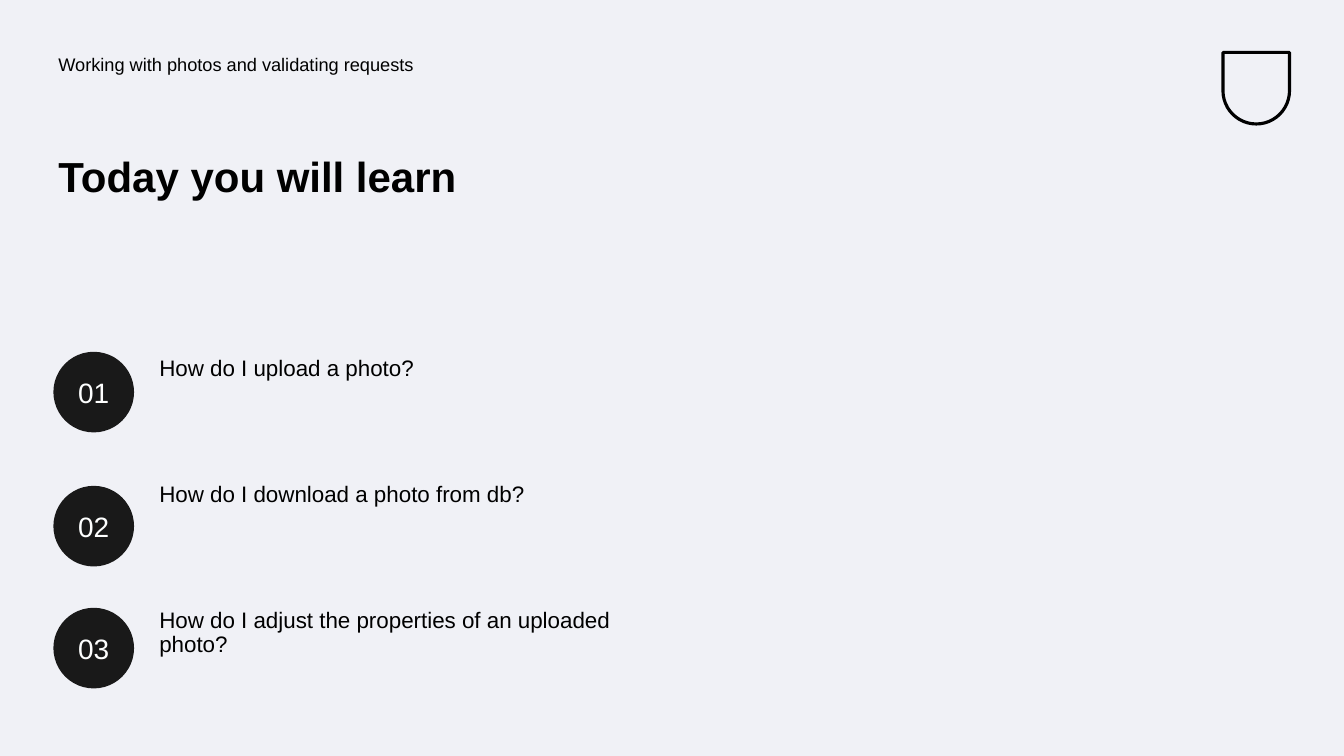
"""Build the "Today you will learn" agenda slide."""
from dataclasses import dataclass

from pptx import Presentation
from pptx.dml.color import RGBColor
from pptx.enum.shapes import MSO_SHAPE
from pptx.enum.text import MSO_ANCHOR, MSO_AUTO_SIZE, PP_ALIGN
from pptx.shapes.autoshape import Shape
from pptx.slide import Slide
from pptx.util import Inches, Pt

BACKGROUND = RGBColor(0xF0, 0xF1, 0xF6)
INK = RGBColor(0x00, 0x00, 0x00)
BADGE_FILL = RGBColor(0x19, 0x19, 0x19)
BADGE_TEXT = RGBColor(0xFE, 0xFF, 0xFF)

OVAL = MSO_SHAPE.OVAL
SHIELD = MSO_SHAPE.ROUND_2_SAME_RECTANGLE
TOP, MIDDLE = MSO_ANCHOR.TOP, MSO_ANCHOR.MIDDLE
LEFT, CENTER = PP_ALIGN.LEFT, PP_ALIGN.CENTER
NO_AUTOFIT = MSO_AUTO_SIZE.NONE

FONT = "Arial"
TITLE_ONLY = 5
MARGIN = 0.53
BADGE_SIZE = 0.8
QUESTION_TOP = 3.49
QUESTION_STEP = 1.25


@dataclass(frozen=True)
class Box:
    """A rectangle in inches."""

    left: float
    top: float
    width: float
    height: float

    def lengths(self) -> tuple[Inches, Inches, Inches, Inches]:
        """Return the four lengths in order."""
        return (Inches(self.left), Inches(self.top),
                Inches(self.width), Inches(self.height))


@dataclass(frozen=True)
class Style:
    """The look of a piece of text."""

    size: int
    color: RGBColor = INK
    bold: bool = False
    align: PP_ALIGN = LEFT
    anchor: MSO_ANCHOR = TOP
    line_spacing: float = 0.9


@dataclass(frozen=True)
class Question:
    """A numbered question and the top of its badge."""

    text: str
    badge_top: float


HEADER_STYLE = Style(13)
TITLE_STYLE = Style(30, bold=True)
QUESTION_STYLE = Style(16)
BADGE_STYLE = Style(20, BADGE_TEXT, align=CENTER, anchor=MIDDLE, line_spacing=1.0)

QUESTIONS = (
    Question("How do I upload a photo?", 3.49),
    Question("How do I download a photo from db?", 4.82),
    Question("How do I adjust the properties of an uploaded photo?", 6.03),
)


def write(shape: Shape, text: str, style: Style) -> None:
    """Put styled text in a shape."""
    frame = shape.text_frame
    frame.text = text
    frame.word_wrap = True
    frame.auto_size = NO_AUTOFIT
    frame.vertical_anchor = style.anchor
    frame.margin_left = frame.margin_right = Inches(0.05)
    frame.margin_top = frame.margin_bottom = Inches(0.05)
    para = frame.paragraphs[0]
    para.alignment = style.align
    para.line_spacing = style.line_spacing
    font = para.runs[0].font
    font.name = FONT
    font.size = Pt(style.size)
    font.bold = style.bold
    font.color.rgb = style.color


def add_text(page: Slide, box: Box, text: str, style: Style) -> None:
    """Add a text box."""
    write(page.shapes.add_textbox(*box.lengths()), text, style)


def add_title(page: Slide, box: Box, text: str) -> None:
    """Move and fill the title placeholder."""
    title = page.shapes.title
    title.left, title.top, title.width, title.height = box.lengths()
    write(title, text, TITLE_STYLE)


def add_emblem(page: Slide, box: Box) -> None:
    """Draw a plain shield outline."""
    emblem = page.shapes.add_shape(SHIELD, *box.lengths())
    emblem.adjustments[0] = 0
    emblem.adjustments[1] = 0.5
    emblem.shadow.inherit = False
    emblem.fill.background()
    emblem.line.color.rgb = INK
    emblem.line.width = Pt(2.25)


def add_badge(page: Slide, top: float, number: int) -> None:
    """Draw a numbered circle."""
    box = Box(MARGIN, top, BADGE_SIZE, BADGE_SIZE)
    badge = page.shapes.add_shape(OVAL, *box.lengths())
    badge.shadow.inherit = False
    badge.fill.solid()
    badge.fill.fore_color.rgb = BADGE_FILL
    badge.line.fill.background()
    write(badge, f"{number:02d}", BADGE_STYLE)


def main() -> None:
    """Build and save the deck."""
    deck = Presentation()
    deck.slide_width, deck.slide_height = Inches(13.33), Inches(7.5)
    page = deck.slides.add_slide(deck.slide_layouts[TITLE_ONLY])
    page.background.fill.solid()
    page.background.fill.fore_color.rgb = BACKGROUND

    add_emblem(page, Box(12.13, 0.52, 0.66, 0.71))
    add_text(page, Box(MARGIN, 0.5, 6.14, 0.5),
             "Working with photos and validating requests", HEADER_STYLE)
    add_title(page, Box(MARGIN, 1.5, 5.64, 1.49), "Today you will learn")
    for index, question in enumerate(QUESTIONS):
        top = QUESTION_TOP + index * QUESTION_STEP
        add_text(page, Box(1.53, top, 4.63, 0.99), question.text, QUESTION_STYLE)
        add_badge(page, question.badge_top, index + 1)

    deck.save("out.pptx")


if __name__ == "__main__":
    main()
